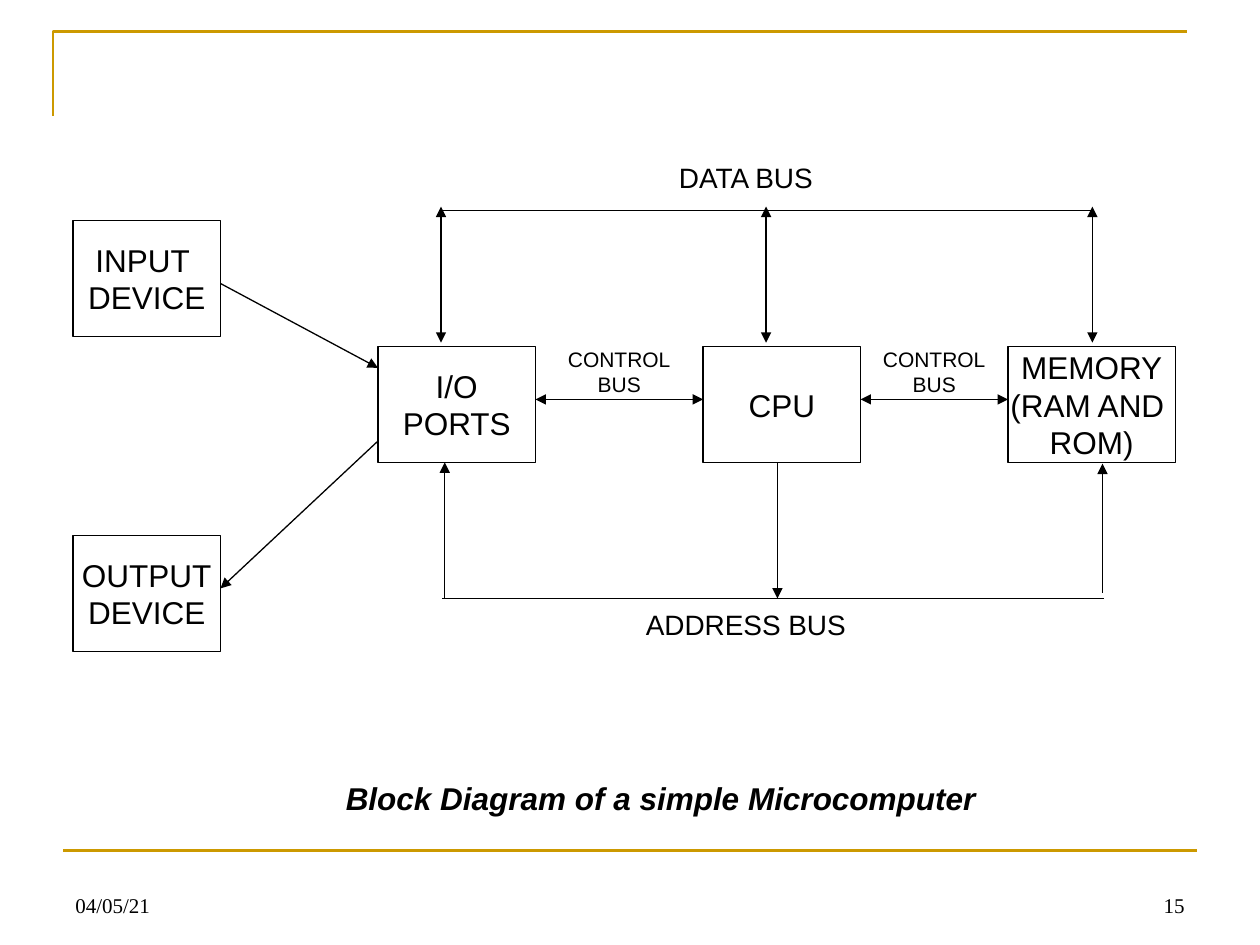
import dataclasses

import lxml.etree
import pptx
import pptx.dml.color
import pptx.enum.shapes
import pptx.enum.text
import pptx.oxml.ns
import pptx.util

Inches = pptx.util.Inches
Align = pptx.enum.text.PP_ALIGN
Anchor = pptx.enum.text.MSO_ANCHOR
qn = pptx.oxml.ns.qn


@dataclasses.dataclass(frozen=True)
class Theme:
    ink: str = "000000"
    paper: str = "FFFFFF"
    accent: str = "CC9900"
    font: str = "Arial"
    footer_font: str = "Times New Roman"
    block_size: int = 18
    bus_size: int = 16
    small_size: int = 12
    thin: float = 0.75
    rule: float = 1.5


class SlideBuilder:
    def __init__(self, slide, theme):
        self.slide = slide
        self.theme = theme

    def set_line(self, line, color, width):
        line.color.rgb = pptx.dml.color.RGBColor.from_string(color)
        line.width = pptx.util.Pt(width)

    def set_text(self, shape, text, size, font=None, align=Align.CENTER,
                 anchor=Anchor.MIDDLE, wrap=False, emphasis=False):
        frame = shape.text_frame
        frame.word_wrap = wrap
        frame.vertical_anchor = anchor
        frame.text = text
        for paragraph in frame.paragraphs:
            paragraph.alignment = align
            paragraph.font.name = font or self.theme.font
            paragraph.font.size = pptx.util.Pt(size)
            paragraph.font.bold = paragraph.font.italic = emphasis
            paragraph.font.color.rgb = pptx.dml.color.RGBColor.from_string(self.theme.ink)

    def rectangle(self, left, top, width, height, text, size, fill=None, outline=None):
        shape = self.slide.shapes.add_shape(
            pptx.enum.shapes.MSO_SHAPE.RECTANGLE,
            Inches(left), Inches(top), Inches(width), Inches(height))
        shape.shadow.inherit = False
        if fill:
            shape.fill.solid()
            shape.fill.fore_color.rgb = pptx.dml.color.RGBColor.from_string(fill)
        else:
            shape.fill.background()
        if outline:
            self.set_line(shape.line, outline, self.theme.thin)
        else:
            shape.line.fill.background()
        self.set_text(shape, text, size)

    def block(self, left, top, width, text):
        self.rectangle(left, top, width, 0.92, text, self.theme.block_size,
                       self.theme.paper, self.theme.ink)

    def text(self, left, top, width, height, text, size, **style):
        box = self.slide.shapes.add_textbox(
            Inches(left), Inches(top), Inches(width), Inches(height))
        self.set_text(box, text, size, **style)

    def line(self, start, end, arrows="", color=None, width=None):
        """Draw a line; arrows may name "head" (at start) and "tail" (at end)."""
        connector = self.slide.shapes.add_connector(
            pptx.enum.shapes.MSO_CONNECTOR.STRAIGHT,
            *map(Inches, (*start, *end)))
        self.set_line(connector.line, color or self.theme.ink, width or self.theme.thin)
        properties = connector.element.spPr
        for name in arrows.split():
            lxml.etree.SubElement(properties.find(qn("a:ln")), qn(f"a:{name}End"),
                                  type="triangle")
        lxml.etree.SubElement(properties, qn("a:effectLst"))

    def open_outline(self, points):
        corners = [(Inches(x), Inches(y)) for x, y in points]
        builder = self.slide.shapes.build_freeform(*corners[0])
        builder.add_line_segments(corners[1:], close=False)
        shape = builder.convert_to_shape()
        shape.shadow.inherit = False
        shape.fill.background()
        self.set_line(shape.line, self.theme.accent, self.theme.rule)


def main():
    presentation = pptx.Presentation()
    presentation.slide_width = Inches(10)
    presentation.slide_height = Inches(7.5)
    theme = Theme()
    builder = SlideBuilder(
        presentation.slides.add_slide(presentation.slide_layouts[6]), theme)

    builder.open_outline([(0.42, 0.92), (0.42, 0.25), (9.42, 0.25)])
    builder.line((0.5, 6.75), (9.5, 6.75), color=theme.accent, width=theme.rule)
    for left, text, align in ((0.5, "04/05/21", Align.LEFT), (7.17, "15", Align.RIGHT)):
        builder.text(left, 6.83, 2.33, 0.5, text, theme.small_size, wrap=True,
                     font=theme.footer_font, align=align, anchor=Anchor.BOTTOM)

    for left, top, width, text in (
            (0.58, 1.75, 1.17, "INPUT \nDEVICE"),
            (0.58, 4.25, 1.17, "OUTPUT\nDEVICE"),
            (3, 2.75, 1.25, "I/O\nPORTS"),
            (5.58, 2.75, 1.25, "CPU"),
            (8, 2.75, 1.33, "MEMORY\n(RAM AND \nROM)")):
        builder.block(left, top, width, text)

    # Data bus
    builder.line((3.5, 1.67), (8.67, 1.67))
    for x in (3.5, 6.08, 8.67):
        builder.line((x, 1.64), (x, 2.72), "head tail")

    # Address bus
    builder.line((3.51, 4.75), (8.76, 4.75))
    builder.line((6.17, 3.67), (6.17, 4.75), "tail")
    builder.line((3.53, 3.67), (3.53, 4.75), "head")
    builder.line((8.75, 3.68), (8.75, 4.71), "head")

    # Input and output devices
    builder.line((1.75, 2.25), (3, 2.92), "tail")
    builder.line((3, 3.5), (1.75, 4.67), "tail")

    # Control bus
    for start, end, label_left in ((4.25, 5.58, 4.5), (6.83, 8, 7)):
        builder.line((start, 3.17), (end, 3.17), "head tail")
        builder.rectangle(label_left, 2.74, 0.83, 0.42, "CONTROL\nBUS",
                          theme.small_size, outline=theme.paper)

    builder.rectangle(4.92, 4.83, 2, 0.25, "ADDRESS BUS", theme.bus_size, fill=theme.paper)
    builder.rectangle(4.92, 1.28, 2, 0.25, "DATA BUS", theme.bus_size, outline=theme.paper)
    builder.text(1.58, 6.17, 7.33, 0.33, "Block Diagram of a simple Microcomputer",
                 theme.block_size, emphasis=True)

    presentation.save("out.pptx")


if __name__ == "__main__":
    main()
